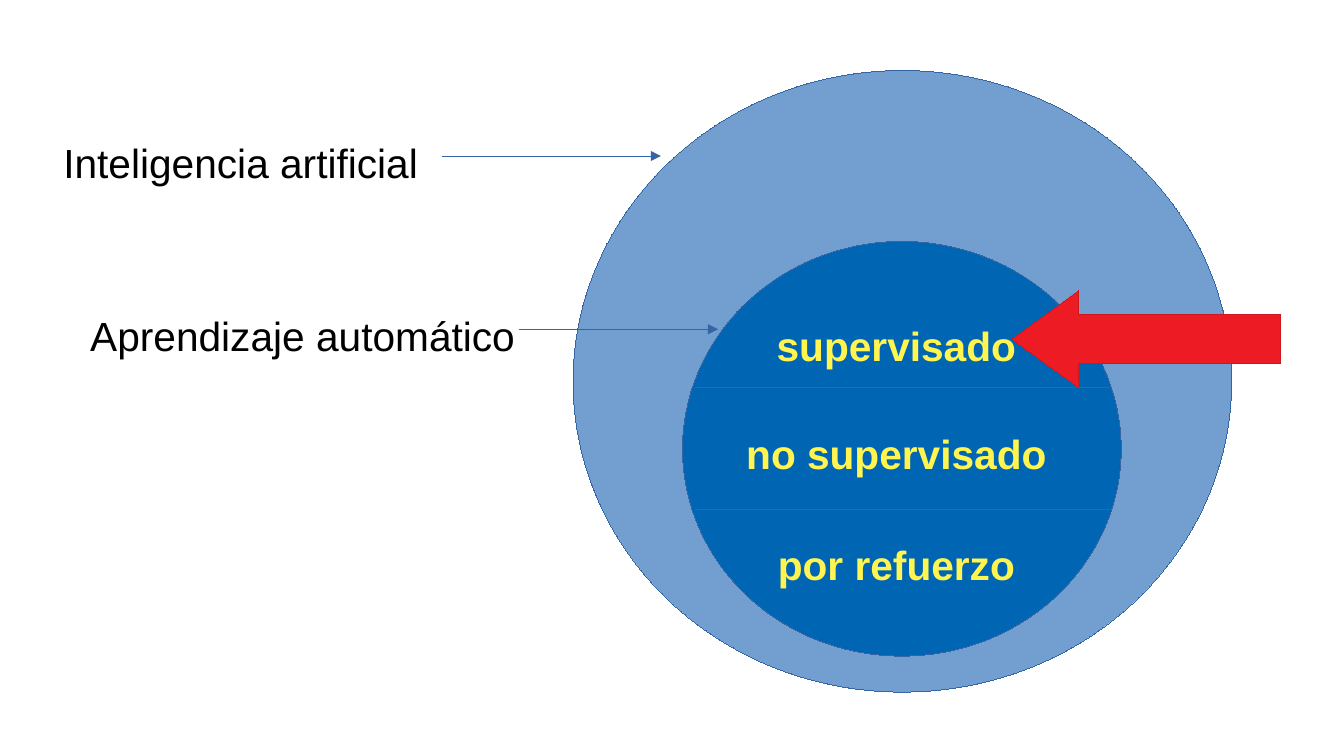
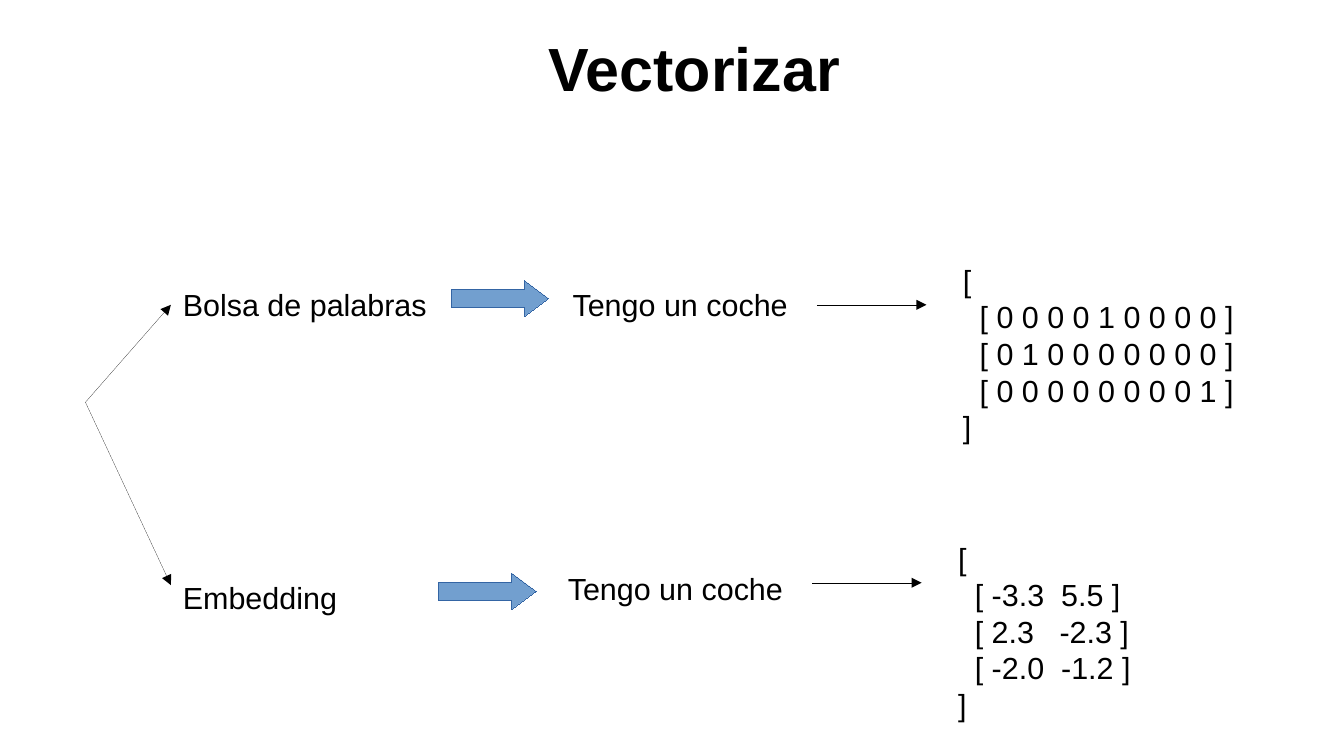
from dataclasses import dataclass

from lxml.etree import SubElement as Sub
from pptx import Presentation
from pptx.dml.color import RGBColor as Rgb
from pptx.enum.shapes import MSO_CONNECTOR as Link, MSO_SHAPE as Kind
from pptx.enum.text import MSO_AUTO_SIZE as Auto, PP_ALIGN as Align
from pptx.oxml.ns import qn
from pptx.util import Cm, Pt


# Colours, font and type sizes
@dataclass(frozen=True)
class Theme:
    font: str = "Arial"
    ink: str = "000000"
    edge: str = "3465A4"
    pale: str = "729FCF"
    deep: str = "0066B3"
    glow: str = "FFF450"
    red: str = "ED1C24"
    rim: str = "CE181E"
    head: int = 36
    label: int = 24
    body: int = 18


T = Theme()


def cms(*vals):
    return [Cm(v) for v in vals]


def stroke(line, color):
    """Set a hairline; the zero width must be written out to take effect."""
    line.color.rgb = Rgb.from_string(color)
    line._get_or_add_ln().set("w", "0")


def shape(slide, kind, box, fill, edge=T.edge, adj=()):
    item = slide.shapes.add_shape(kind, *cms(*box))
    item.shadow.inherit = False
    item.fill.solid()
    item.fill.fore_color.rgb = Rgb.from_string(fill)
    stroke(item.line, edge)
    for i, val in enumerate(adj):
        item.adjustments[i] = val


def line(slide, start, end, color=T.ink, arrow=True):
    item = slide.shapes.add_connector(Link.STRAIGHT, *cms(*start, *end))
    stroke(item.line, color)
    if arrow:
        Sub(item.line._get_or_add_ln(), qn("a:tailEnd"), type="triangle")
    Sub(item._element.spPr, qn("a:effectLst"))


def text(slide, box, rows, size, color=T.ink, bold=False, align=None):
    """Add a text box, one paragraph per row of runs; return paragraphs."""
    frame = slide.shapes.add_textbox(*cms(*box)).text_frame
    frame.word_wrap = True
    frame.auto_size = Auto.SHAPE_TO_FIT_TEXT
    for i, row in enumerate(rows):
        para = frame.add_paragraph() if i else frame.paragraphs[0]
        para.alignment = align
        for part in row:
            run = para.add_run()
            run.text = part
            font = run.font
            font.name, font.size, font.bold = T.font, Pt(size), bold
            font.color.rgb = Rgb.from_string(color)
    return frame.paragraphs


def matrix(slide, left, top, rows, gaps):
    """Add bracketed, indented rows; gaps (points) widen the middle space."""
    paras = text(slide, (left, top, 7.62, 3.81), [["["], *rows, ["]"]], T.body)
    for para in paras[1:-1]:
        props = para._p.get_or_add_pPr()
        props.set("marL", str(Cm(0.35)))
        props.set("indent", "0")
    for para, gap in zip(paras[1:-1], gaps):
        space = para.runs[1]._r.get_or_add_rPr()
        space.set("spc", str(gap * 100))


def fields(slide):
    # Nested fields and their names
    shape(slide, Kind.OVAL, (11.94, 1.47, 13.72, 12.95), T.pale)
    line(slide, (9.2, 3.25), (13.77, 3.25), T.edge)
    text(slide, (1.07, 2.74, 8.89, 1.19), [["Inteligencia artificial"]],
         T.label)
    shape(slide, Kind.OVAL, (14.22, 5.03, 9.14, 8.64), T.deep)
    line(slide, (10.82, 6.86), (14.96, 6.86), T.edge)
    text(slide, (1.63, 6.35, 9.73, 1.85), [["Aprendizaje automático"]],
         T.label)

    # Three kinds of learning
    for y in (8.08, 10.62):
        line(slide, (14.48, y), (23.11, y), T.edge, arrow=False)
    kinds = (("supervisado", 6.55), ("no supervisado", 8.81),
             ("por refuerzo", 11.13))
    for name, y in kinds:
        text(slide, (14.99, y, 7.37, 1.19), [[name]], T.label, T.glow, True,
             Align.CENTER)

    # Pointer to the kind in focus
    shape(slide, Kind.LEFT_ARROW, (21.08, 6.05, 5.59, 2.03), T.red, T.rim,
          (0.5, 0.69))


def branch(slide, name, tip, top, block, left, said, mid, rows, gaps=()):
    """Draw one method: fork, name, block arrow, sentence, arrow, matrix."""
    line(slide, (1.78, 8.38), (3.56, tip))
    text(slide, (3.56, top, 5.59, 1.45), [[name]], T.body)
    shape(slide, Kind.RIGHT_ARROW, (block, top, 2.03, 0.76), T.pale,
          adj=(0.5, 0.67))
    text(slide, (left, said, 5.59, 1.45), [["Tengo un coche"]], T.body)
    line(slide, (left + 5.34, mid), (left + 7.62, mid))
    matrix(slide, left + 8.13, mid - 1.02, rows, gaps)


def vectors(slide):
    text(slide, (11.18, 0.51, 9.17, 1.85), [["Vectorizar"]], T.head, bold=True)

    # One-hot rows: position of each word among nine
    hot = [" ".join("1" if i == spot else "0" for i in range(9))
           for spot in (4, 1, 8)]
    branch(slide, "Bolsa de palabras", 6.35, 5.84, 9.4, 11.68, 5.84, 6.35,
           [[f"[ {row} ]"] for row in hot])

    # Dense rows: two values for each word, second values lined up
    dense = (("-3.3", "5.5"), ("2.3", "-2.3"), ("-2.0", "-1.2"))
    branch(slide, "Embedding", 12.19, 11.94, 9.14, 11.58, 11.76, 12.14,
           [[f"[ {a}", " ", f"{b} ]"] for a, b in dense], (5, 10, 5))


def main():
    deck = Presentation()
    deck.slide_width, deck.slide_height = cms(28, 15.75)
    for draw in (fields, vectors):
        draw(deck.slides.add_slide(deck.slide_layouts[6]))
    deck.save("out.pptx")


if __name__ == "__main__":
    main()
